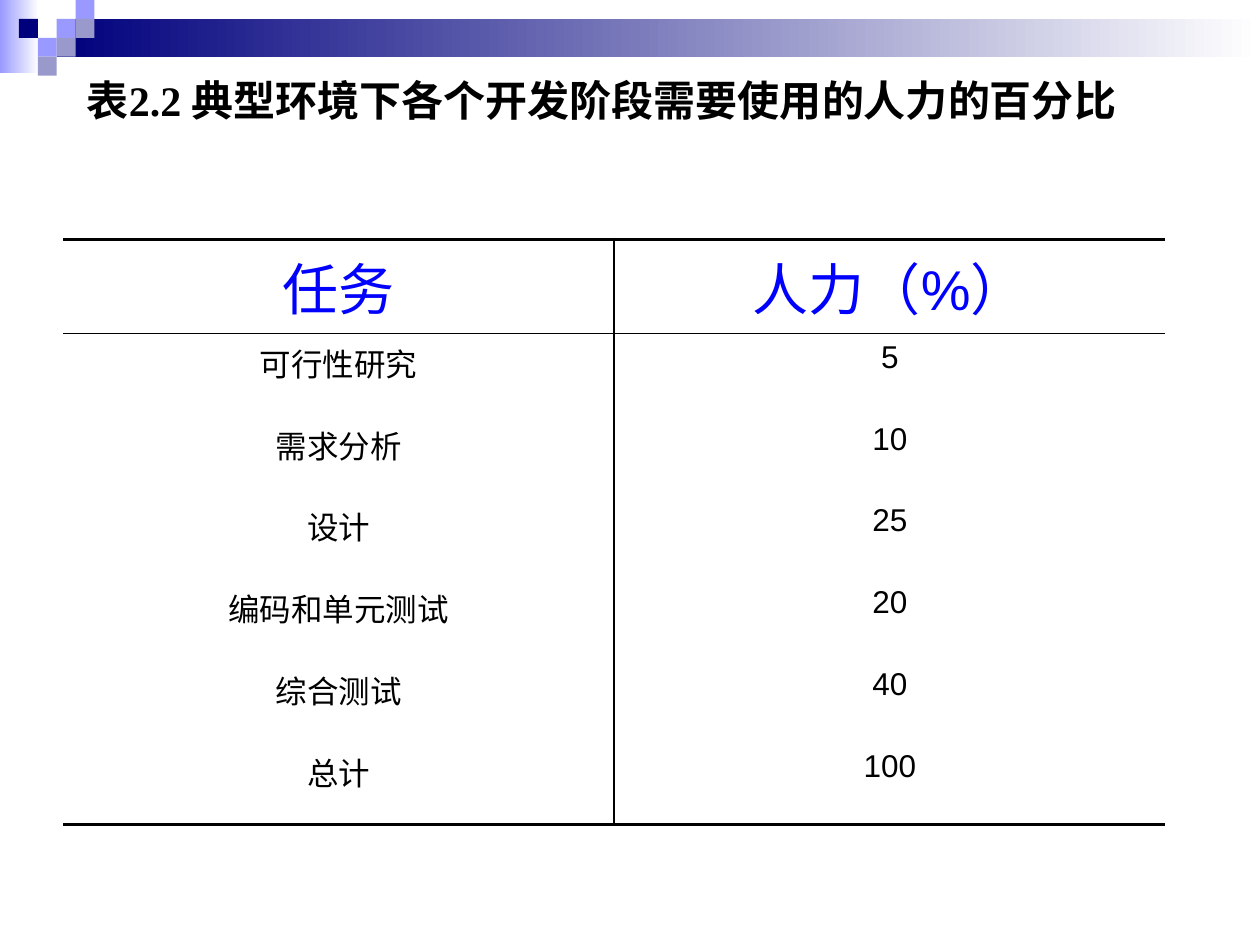
import pptx
import pptx.dml.color
import pptx.enum.shapes
import pptx.enum.text
import pptx.oxml
import pptx.oxml.ns
import pptx.util
from pptx.util import Inches

BLACK, NAVY, WHITE = "000000", "00007D", "FFFFFF"
PERIWINKLE, LAVENDER, HEADER_BLUE = "9999FF", "9999CC", "0000FF"
TILE = 0.15
THIN, THICK = 1, 2.25


def color(hex_string):
    return pptx.dml.color.RGBColor.from_string(hex_string)


def border(cell, side, width):
    """Draw one cell side (L, R, T or B); a width of 0 hides it."""
    paint = (f'<a:solidFill><a:srgbClr val="{BLACK}"/></a:solidFill>'
             if width else "<a:noFill/>")
    line = pptx.oxml.parse_xml(
        f'<a:ln{side} {pptx.oxml.ns.nsdecls("a")} '
        f'w="{pptx.util.Pt(width)}">{paint}</a:ln{side}>')
    cell._tc.get_or_add_tcPr().append(line)


class SlideBuilder:
    title_font = "Times New Roman"
    body_font = "Arial"

    def __init__(self, slide):
        self.slide = slide

    def style(self, paragraph, size, font, hex_string, align, bold=False):
        paragraph.alignment = align
        for run in paragraph.runs:
            run.font.size = pptx.util.Pt(size)
            run.font.name = font
            run.font.bold = bold
            run.font.color.rgb = color(hex_string)

    def title(self, text, left, top, width, height):
        heading = self.slide.shapes.title
        heading.left, heading.top = Inches(left), Inches(top)
        heading.width, heading.height = Inches(width), Inches(height)
        frame = heading.text_frame
        frame.text = text
        frame.word_wrap = True
        frame.vertical_anchor = pptx.enum.text.MSO_ANCHOR.MIDDLE
        self.style(frame.paragraphs[0], 24, self.title_font, BLACK,
                   pptx.enum.text.PP_ALIGN.LEFT, bold=True)

    def block(self, left, top, width, height, *colors):
        """Add a borderless rectangle; two colours make a left-to-right gradient."""
        rect = self.slide.shapes.add_shape(
            pptx.enum.shapes.MSO_SHAPE.RECTANGLE,
            Inches(left), Inches(top), Inches(width), Inches(height))
        rect.shadow.inherit = False
        rect.line.fill.background()
        if len(colors) == 1:
            rect.fill.solid()
            rect.fill.fore_color.rgb = color(colors[0])
        else:
            rect.fill.gradient()
            rect.fill.gradient_angle = 0
            for stop, hex_string in zip(rect.fill.gradient_stops, colors):
                stop.color.rgb = color(hex_string)

    def table(self, rows, left, top, width, header_height, row_height):
        last = len(rows) - 1
        height = header_height + last * row_height
        table = self.slide.shapes.add_table(
            len(rows), len(rows[0]), Inches(left), Inches(top),
            Inches(width), Inches(height)).table
        table.first_row = table.horz_banding = False
        for r, values in enumerate(rows):
            table.rows[r].height = Inches(row_height if r else header_height)
            size, hex_string = (18, BLACK) if r else (32, HEADER_BLUE)
            for c, value in enumerate(values):
                cell = table.cell(r, c)
                cell.text_frame.text = value
                self.style(cell.text_frame.paragraphs[0], size, self.body_font,
                           hex_string, pptx.enum.text.PP_ALIGN.CENTER)
                border(cell, "L", THIN if c > 0 else 0)
                border(cell, "R", THIN if c < len(values) - 1 else 0)
                border(cell, "T", {0: THICK, 1: THIN}.get(r, 0))
                border(cell, "B", {0: THIN, last: THICK}.get(r, 0))
                cell.fill.background()


def main():
    deck = pptx.Presentation()
    deck.slide_width, deck.slide_height = Inches(10), Inches(7.5)
    page = SlideBuilder(deck.slides.add_slide(deck.slide_layouts[5]))

    page.block(0, 0, 0.31, 0.58, PERIWINKLE, WHITE)
    page.block(0.45, 0.15, 9.55, 0.3, NAVY, WHITE)
    mosaic = [(3, 1, PERIWINKLE), (4, 0, PERIWINKLE), (4, 1, LAVENDER),
              (2, 2, PERIWINKLE), (1, 1, NAVY), (3, 2, LAVENDER),
              (2, 3, LAVENDER)]
    for column, row, tile_color in mosaic:
        page.block(column * TILE, row * TILE, TILE, TILE, tile_color)

    page.title("表2.2 典型环境下各个开发阶段需要使用的人力的百分比",
               0.59, 0.52, 8.98, 0.55)
    page.table([("任务", "人力（%）"),
                ("可行性研究", "5"),
                ("需求分析", "10"),
                ("设计", "25"),
                ("编码和单元测试", "20"),
                ("综合测试", "40"),
                ("总计", "100")],
               left=0.5, top=1.9, width=8.75, header_height=0.73,
               row_height=0.65)
    deck.save("out.pptx")


if __name__ == "__main__":
    main()
